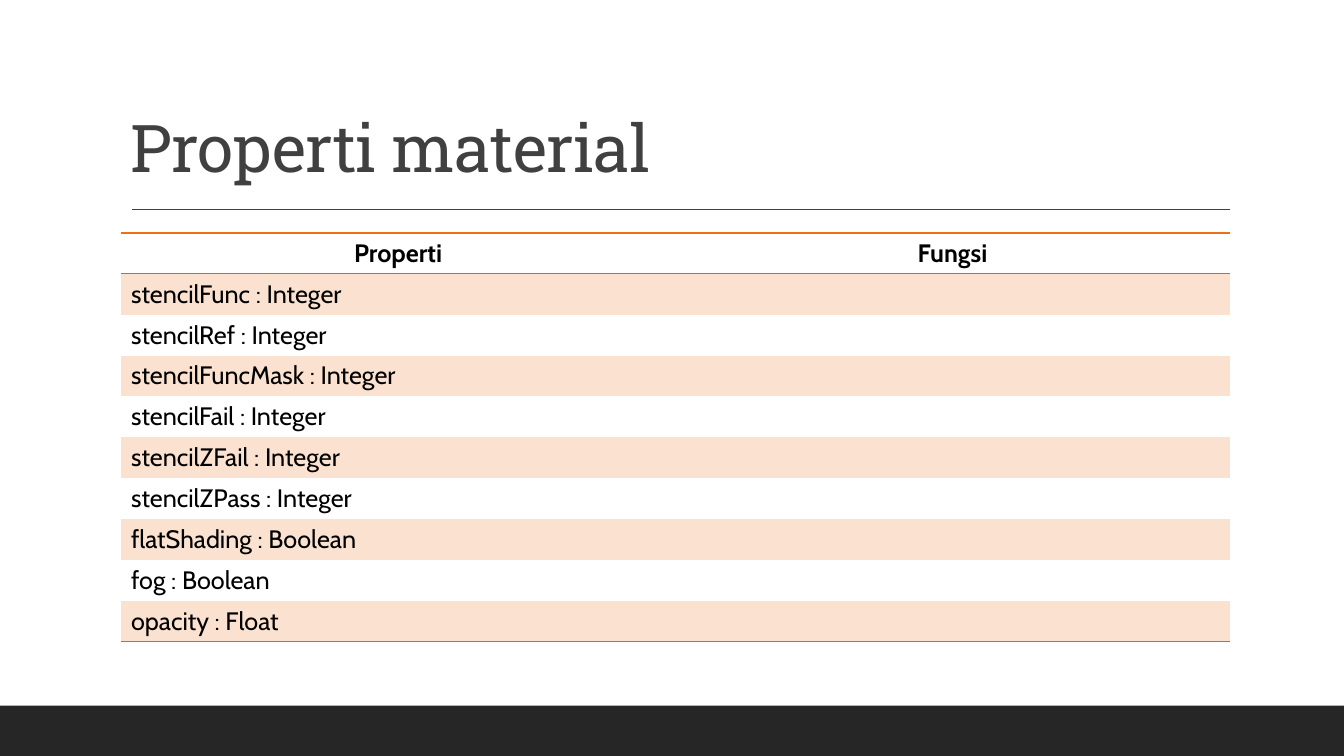
from lxml import etree
from pptx import Presentation
from pptx.dml.color import RGBColor
from pptx.enum.shapes import MSO_CONNECTOR, MSO_SHAPE
from pptx.enum.text import MSO_ANCHOR, PP_ALIGN
from pptx.oxml.ns import qn
from pptx.util import Cm, Pt

STRAIGHT, RECTANGLE = MSO_CONNECTOR.STRAIGHT, MSO_SHAPE.RECTANGLE
BOTTOM, LEFT, CENTER = MSO_ANCHOR.BOTTOM, PP_ALIGN.LEFT, PP_ALIGN.CENTER

COLORS = {"footer": "262626", "title": "404040", "text": "000000",
          "accent": "EC7016", "rule": "808080", "band": "FBE2D0"}
FORMATS = {
    "title": {"name": "Roboto Slab", "size": Pt(47), "bold": False},
    "header": {"name": "Cabin", "size": Pt(18), "bold": True},
    "body": {"name": "Cabin", "size": Pt(18), "bold": False},
}
HEADINGS = ["Properti", "Fungsi"]
PROPERTIES = [
    ("stencilFunc", "Integer"), ("stencilRef", "Integer"),
    ("stencilFuncMask", "Integer"), ("stencilFail", "Integer"),
    ("stencilZFail", "Integer"), ("stencilZPass", "Integer"),
    ("flatShading", "Boolean"), ("fog", "Boolean"), ("opacity", "Float"),
]


def rgb(role):
    """Return the colour of a role."""
    return RGBColor.from_string(COLORS[role])


def write(paragraph, text, style, color, align=LEFT):
    """Write one formatted run into a paragraph and return it."""
    paragraph.alignment = align
    run = paragraph.add_run()
    run.text = text
    for attribute, value in FORMATS[style].items():
        setattr(run.font, attribute, value)
    run.font.color.rgb = rgb(color)
    return run


def set_borders(cell, edges):
    """Draw the given edges of a cell and clear the others."""
    properties = cell._tc.get_or_add_tcPr()
    for edge in ("lnL", "lnR", "lnT", "lnB"):
        border = etree.SubElement(properties, qn(f"a:{edge}"), w=str(Pt(1)))
        if edge in edges:
            fill = etree.SubElement(border, qn("a:solidFill"))
            etree.SubElement(fill, qn("a:srgbClr"), val=COLORS[edges[edge]])
        else:
            etree.SubElement(border, qn("a:noFill"))


def add_footer(slide, left, top, width, height):
    """Fill the box with the dark footer band."""
    footer = slide.shapes.add_shape(RECTANGLE, left, top, width, height)
    footer.shadow.inherit = False
    footer.fill.solid()
    footer.fill.fore_color.rgb = rgb("footer")
    footer.line.fill.background()


def add_title(slide, text, left, top, width, height):
    """Place the title at the foot of the box with a rule below it."""
    title = slide.shapes.add_textbox(left, top, width, height)
    frame = title.text_frame
    frame.word_wrap = True
    frame.vertical_anchor = BOTTOM
    paragraph = frame.paragraphs[0]
    paragraph.line_spacing = 0.9
    run = write(paragraph, text, "title", "title")
    run._r.get_or_add_rPr().set("spc", "-50")

    rule_top = top + height + Cm(0.45)
    rule = slide.shapes.add_connector(
        STRAIGHT, left + Cm(0.28), rule_top, left + width, rule_top)
    rule.line.color.rgb = rgb("title")
    rule.line.width = Pt(1)
    etree.SubElement(rule._element.spPr, qn("a:effectLst"))


def add_property_table(slide, left, top, width, height):
    """Fill the box with the banded property table."""
    rows = [HEADINGS] + [[f"{name} : {kind}", ""] for name, kind in PROPERTIES]
    last = len(rows) - 1
    table = slide.shapes.add_table(
        len(rows), len(HEADINGS), left, top, width, height).table
    table.first_row = table.horz_banding = False
    edges = {0: {"lnT": "accent", "lnB": "rule"},
             1: {"lnT": "rule"}, last: {"lnB": "rule"}}
    for row, texts in enumerate(rows):
        style, align = ("body", LEFT) if row else ("header", CENTER)
        for column, text in enumerate(texts):
            cell = table.cell(row, column)
            set_borders(cell, edges.get(row, {}))
            if row % 2:
                cell.fill.solid()
                cell.fill.fore_color.rgb = rgb("band")
            else:
                cell.fill.background()
            if text:
                write(cell.text_frame.paragraphs[0], text, style, "text", align)


def main():
    """Build the slide and save it."""
    deck = Presentation()
    deck.slide_width, deck.slide_height = Cm(33.87), Cm(19.05)
    slide = deck.slides.add_slide(deck.slide_layouts[6])
    left, width, footer_height = Cm(3.05), Cm(27.94), Cm(1.27)
    add_footer(slide, 0, deck.slide_height - footer_height,
               deck.slide_width, footer_height)
    add_title(slide, "Properti material", left, Cm(0.79), width, Cm(4.04))
    add_property_table(slide, left, Cm(5.87), width, Cm(10.3))
    deck.save("out.pptx")


if __name__ == "__main__":
    main()
